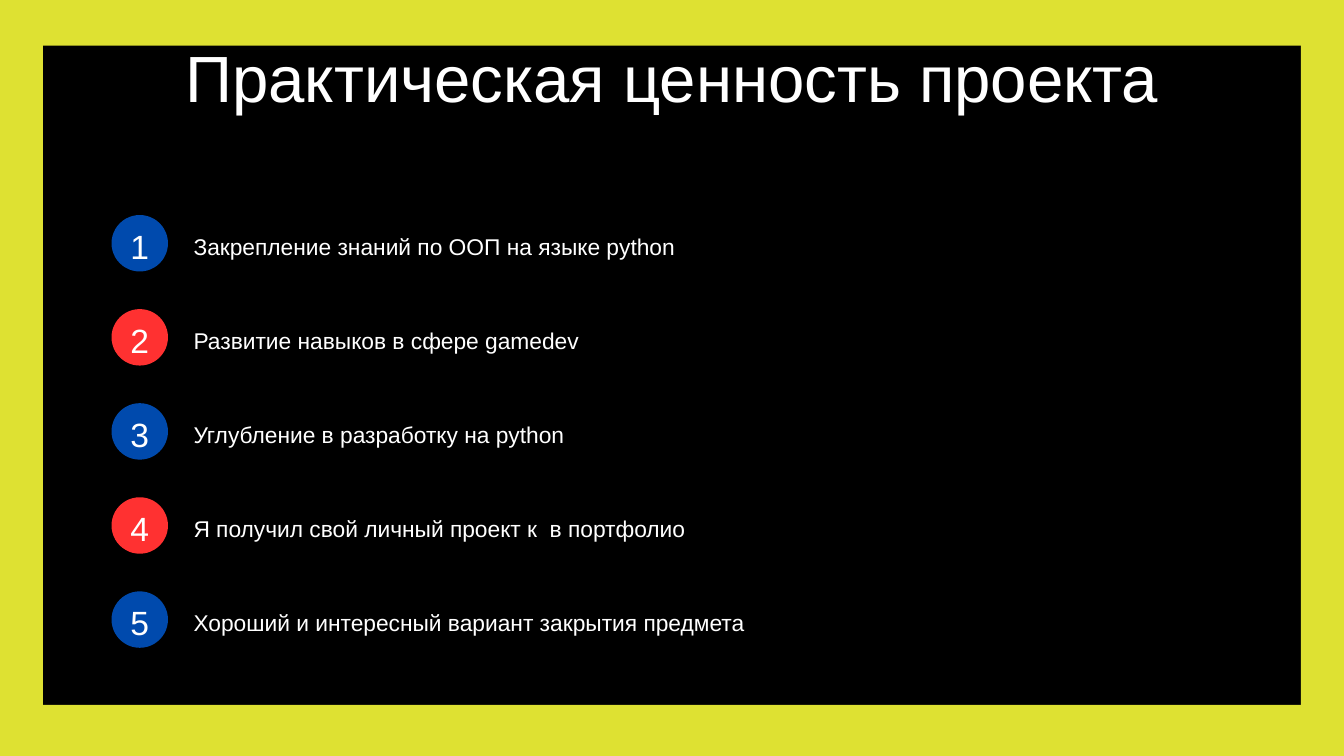
from dataclasses import dataclass

from pptx import Presentation
from pptx.dml.color import RGBColor
from pptx.enum.shapes import MSO_SHAPE
from pptx.enum.text import MSO_ANCHOR, MSO_AUTO_SIZE, PP_ALIGN
from pptx.oxml.ns import qn
from pptx.slide import Slide
from pptx.text.text import Font, TextFrame
from pptx.util import Inches, Pt

BLACK = RGBColor(0x00, 0x00, 0x00)
WHITE = RGBColor(0xFF, 0xFF, 0xFF)
LIME = RGBColor(0xDE, 0xE1, 0x32)
BLUE = RGBColor(0x00, 0x4A, 0xAD)
RED = RGBColor(0xFF, 0x31, 0x31)

TITLE = "Практическая ценность проекта"
ITEMS = [
    "Закрепление знаний по ООП на языке python",
    "Развитие навыков в сфере gamedev",
    "Углубление в разработку на python",
    "Я получил свой личный проект к  в портфолио",
    "Хороший и интересный вариант закрытия предмета",
]
LINE = 48.7  # line height of a list item, points
STEP = 1.4  # distance between list items, inches


@dataclass
class Box:
    left: float
    top: float
    width: float
    height: float

    def place(self, shape) -> None:
        shape.left, shape.top = Inches(self.left), Inches(self.top)
        shape.width, shape.height = Inches(self.width), Inches(self.height)


BARS = [
    Box(-0.12, -0.08, 0.76, 11.64),
    Box(19.36, -0.18, 0.76, 11.64),
    Box(-0.15, -0.08, 20.27, 0.76),
    Box(0, 10.49, 20, 0.76),
]


def add_solid(slide: Slide, kind: MSO_SHAPE, box: Box, color: RGBColor):
    shape = slide.shapes.add_shape(kind, 0, 0, 0, 0)
    box.place(shape)
    shape.shadow.inherit = False
    shape.fill.solid()
    shape.fill.fore_color.rgb = color
    shape.line.fill.background()
    return shape


def set_frame(frame: TextFrame, anchor: MSO_ANCHOR) -> None:
    frame.margin_left = frame.margin_right = 0
    frame.margin_top = frame.margin_bottom = 0
    frame.word_wrap = True
    frame.auto_size = MSO_AUTO_SIZE.NONE
    frame.vertical_anchor = anchor


def set_font(font: Font, size: float) -> None:
    font.name = "Arial"
    font.size = Pt(size)
    font.color.rgb = WHITE


def add_badge(slide: Slide, index: int) -> None:
    box = Box(1.66, 3.2 + index * STEP, 0.84, 0.84)
    color = RED if index % 2 else BLUE
    frame = add_solid(slide, MSO_SHAPE.OVAL, box, color).text_frame
    set_frame(frame, MSO_ANCHOR.MIDDLE)
    frame.margin_top = Inches(0.08)
    para = frame.paragraphs[0]
    para.text = str(index + 1)
    para.alignment = PP_ALIGN.CENTER
    set_font(para.font, 36)


def fill_title(slide: Slide) -> None:
    title = slide.shapes.title
    Box(1.66, 0.75, 16.68, 2.07).place(title)
    set_frame(title.text_frame, MSO_ANCHOR.TOP)
    para = title.text_frame.paragraphs[0]
    para.text = TITLE
    para.alignment = PP_ALIGN.CENTER
    para.line_spacing = Pt(70)
    set_font(para.font, 70)


def fill_list(slide: Slide) -> None:
    body = slide.placeholders[1]
    Box(2.88, 3.19, 12.76, 6.24).place(body)
    frame = body.text_frame
    set_frame(frame, MSO_ANCHOR.TOP)
    frame.text = "\n".join(ITEMS)
    for para in frame.paragraphs:
        # Plain paragraphs: no bullet, no hanging indent
        props = para._p.get_or_add_pPr()
        props.set("marL", "0")
        props.set("indent", "0")
        props.append(props.makeelement(qn("a:buNone"), {}))
        para.line_spacing = Pt(LINE)
        para.space_before = Pt(0)
        para.space_after = Pt(STEP * 72 - LINE)
        set_font(para.font, 24.4)


def main() -> None:
    deck = Presentation()
    deck.slide_width, deck.slide_height = Inches(20), Inches(11.25)
    slide = deck.slides.add_slide(deck.slide_layouts[1])
    slide.background.fill.solid()
    slide.background.fill.fore_color.rgb = BLACK

    # Frame
    for box in BARS:
        bar = add_solid(slide, MSO_SHAPE.ROUNDED_RECTANGLE, box, LIME)
        bar.adjustments[0] = 0.5

    # Title and numbered list
    fill_title(slide)
    fill_list(slide)
    for index in range(len(ITEMS)):
        add_badge(slide, index)

    deck.save("out.pptx")


if __name__ == "__main__":
    main()
